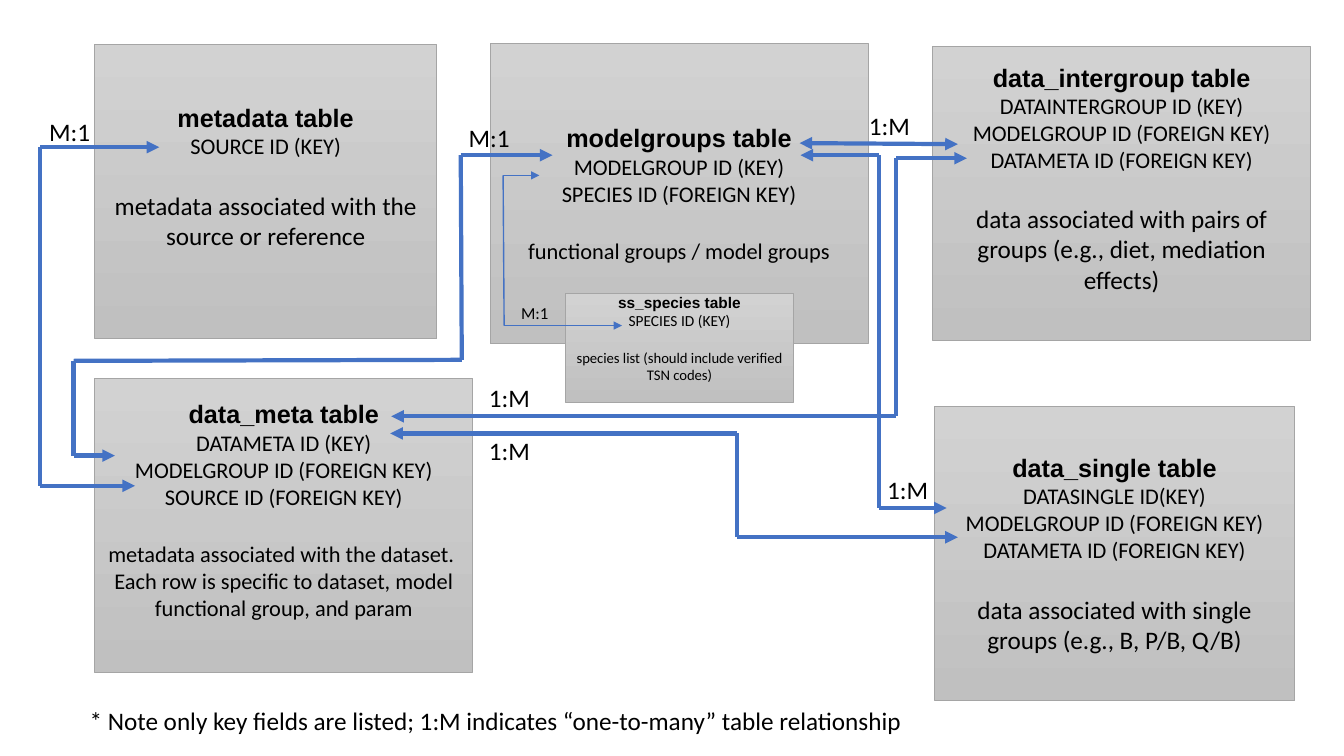
from pptx import Presentation
from pptx.dml.color import RGBColor
from pptx.enum.shapes import MSO_CONNECTOR, MSO_SHAPE
from pptx.enum.text import MSO_ANCHOR, PP_ALIGN
from pptx.oxml.ns import qn
from pptx.util import Inches, Pt
from lxml.etree import SubElement

BLACK = RGBColor(0x00, 0x00, 0x00)
BLUE = RGBColor(0x44, 0x72, 0xC4)
BORDER = RGBColor(0xA5, 0xA5, 0xA5)
GRADIENT = RGBColor(0xD2, 0xD2, 0xD2), RGBColor(0xC0, 0xC0, 0xC0)


def write(p, text, size=18, font="Calibri", bold=False, align=PP_ALIGN.LEFT, before=0):
    """Put one formatted run of text into a paragraph."""
    p.alignment = align
    p.space_before = Pt(before)
    r = p.add_run()
    r.text = text
    r.font.size = Pt(size)
    r.font.name = font
    r.font.bold = bold
    r.font.color.rgb = BLACK


class Diagram:
    """Draws table boxes, labels and relations on one slide."""

    def __init__(self, s):
        self.s = s

    def table_box(self, at, title, keys, notes, sizes=(18, 16, 18), raised=True):
        """Add a grey box with a bold title, its key fields and a description."""
        sp = self.s.shapes.add_shape(MSO_SHAPE.RECTANGLE, *map(Inches, at))
        sp.shadow.inherit = False
        sp.fill.gradient()
        sp.fill.gradient_angle = 270
        for stop, color in zip(sp.fill.gradient_stops, GRADIENT):
            stop.color.rgb = color
        sp.line.color.rgb = BORDER
        sp.line.width = Pt(0.5)
        tf = sp.text_frame
        tf.word_wrap = True
        tf.vertical_anchor = MSO_ANCHOR.MIDDLE
        title_size, key_size, note_size = sizes
        gap = 1.22 * title_size
        if raised:
            tf.margin_bottom = Inches(0.05) + Pt(gap)
        write(tf.paragraphs[0], title, title_size, "Arial", True, PP_ALIGN.CENTER)
        for key in keys:
            write(tf.add_paragraph(), key, key_size, align=PP_ALIGN.CENTER)
        for i, note in enumerate(notes):
            write(tf.add_paragraph(), note, note_size, align=PP_ALIGN.CENTER,
                  before=0 if i else gap)

    def label(self, left, top, text, size=18, width=0.83, height=0.4):
        """Add a plain text box."""
        sp = self.s.shapes.add_textbox(*map(Inches, (left, top, width, height)))
        tf = sp.text_frame
        tf.word_wrap = True
        write(tf.paragraphs[0], text, size)

    def relation(self, *points, width=3):
        """Join points with straight lines, with arrowheads at both ends."""
        last = len(points) - 2
        for i, (start, end) in enumerate(zip(points, points[1:])):
            c = self.s.shapes.add_connector(
                MSO_CONNECTOR.STRAIGHT, *map(Inches, start + end))
            c.line.color.rgb = BLUE
            c.line.width = Pt(width)
            spPr = c.element.spPr
            ln = spPr.find(qn("a:ln"))
            if i == 0:
                SubElement(ln, qn("a:headEnd"), type="triangle")
            if i == last:
                SubElement(ln, qn("a:tailEnd"), type="triangle")
            SubElement(spPr, qn("a:effectLst"))


prs = Presentation()
prs.slide_width = Inches(13.33)
prs.slide_height = Inches(7.5)
d = Diagram(prs.slides.add_slide(prs.slide_layouts[6]))

d.table_box((0.94, 0.44, 3.39, 2.92), "metadata table", ["SOURCE ID (KEY)"],
            ["metadata associated with the source or reference"])
d.table_box((0.94, 3.75, 3.75, 2.92), "data_meta table",
            ["DATAMETA ID (KEY)", "MODELGROUP ID (FOREIGN KEY)", "SOURCE ID (FOREIGN KEY)"],
            ["metadata associated with the dataset. ",
             "Each row is specific to dataset, model functional group, and param"],
            sizes=(18, 16, 16))
d.table_box((9.27, 4.03, 3.57, 2.92), "data_single table",
            ["DATASINGLE ID(KEY)", "MODELGROUP ID (FOREIGN KEY) DATAMETA ID (FOREIGN KEY)"],
            ["data associated with single groups (e.g., B, P/B, Q/B)"], raised=False)
d.table_box((9.25, 0.46, 3.75, 2.92), "data_intergroup table",
            ["DATAINTERGROUP ID (KEY)", "MODELGROUP ID (FOREIGN KEY)",
             "DATAMETA ID (FOREIGN KEY)"],
            ["data associated with pairs of groups (e.g., diet, mediation effects)"])
d.table_box((4.86, 0.43, 3.75, 2.98), "modelgroups table",
            ["MODELGROUP ID (KEY)", "SPECIES ID (FOREIGN KEY)"],
            ["functional groups / model groups"], sizes=(18, 16, 16), raised=False)

d.relation((1.34, 4.82), (0.4, 4.82), (0.4, 1.46), (1.58, 1.46))
d.relation((1.14, 4.52), (0.73, 4.52), (0.73, 3.58), (4.58, 3.57), (4.57, 1.54), (5.48, 1.54))
d.relation((3.87, 4.3), (7.31, 4.3), (7.31, 5.33), (9.5, 5.33))
d.relation((3.88, 4.13), (8.89, 4.13), (8.89, 1.57), (9.59, 1.57))
d.relation((7.94, 1.54), (8.72, 1.54), (8.72, 5.04), (9.39, 5.04))
d.relation((7.93, 1.42), (9.5, 1.43))

d.table_box((5.61, 2.91, 2.26, 1.08), "ss_species table", ["SPECIES ID (KEY)"],
            ["species list (should include verified TSN codes)"], sizes=(11, 11, 10.5))
d.relation((5.35, 1.74), (4.99, 1.74), (5, 3.23), (6.17, 3.23), width=1)

for left, top, ratio in [(0.39, 1.11, "M:1"), (4.55, 1.16, "M:1"), (4.75, 4.27, "1:M"),
                         (4.75, 3.74, "1:M"), (8.7, 4.66, "1:M"), (8.52, 1.05, "1:M")]:
    d.label(left, top, ratio)
d.label(5.07, 2.95, "M:1", size=12, width=0.6, height=0.3)
d.label(0.79, 6.95, "* Note only key fields are listed; 1:M indicates “one-to-many” "
        "table relationship", width=9.95)

prs.save("out.pptx")
